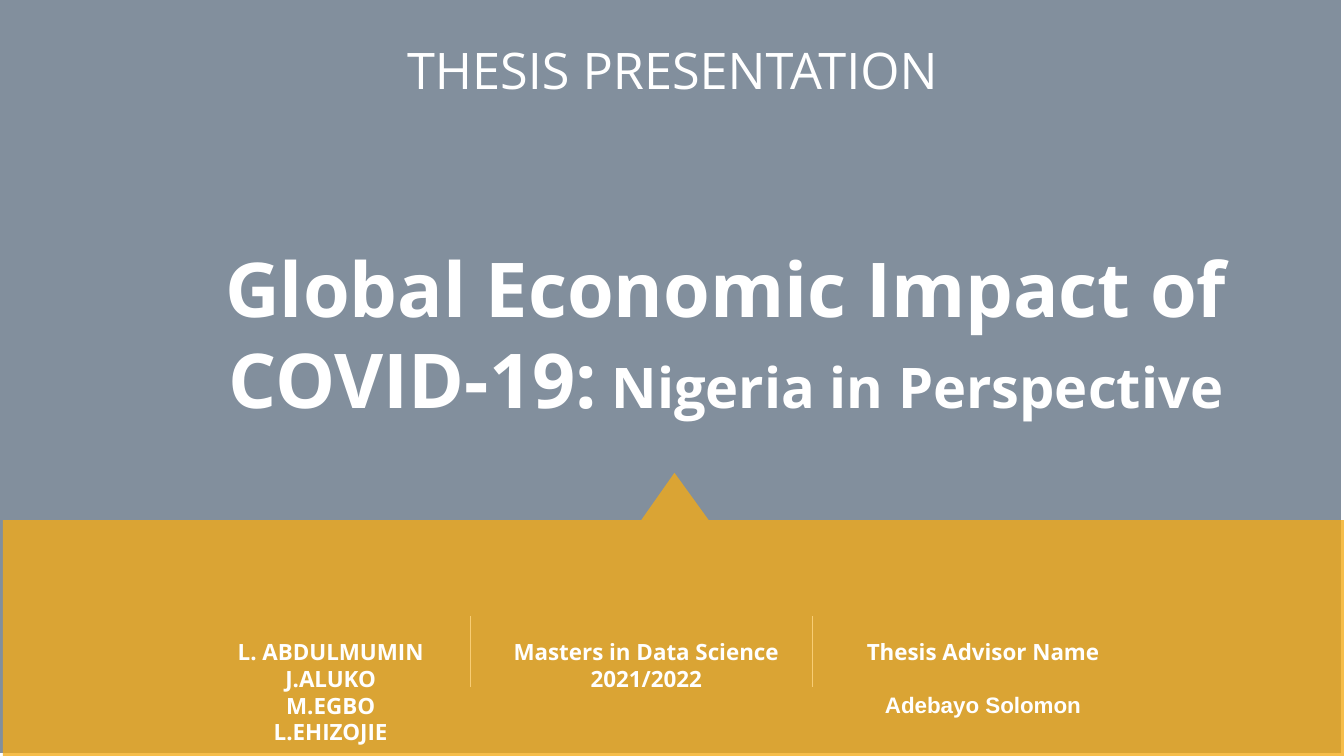
from pptx import Presentation
from pptx import util as u
from pptx.dml.color import RGBColor
from pptx.enum import shapes, text
from pptx.oxml import ns
from lxml import etree

COLORS = {"slate": "57687B", "amber": "F4AB17", "divider": "F8CD74", "white": "FFFFFF"}
FONT = "Open Sans"


class Cover:
    def __init__(self, deck):
        self.page = deck.slides.add_slide(deck.slide_layouts[5])

    def color(self, name):
        return RGBColor.from_string(COLORS[name])

    def fill(self, shape, name, opacity):
        shape.shadow.inherit = False
        shape.fill.solid()
        shape.fill.fore_color.rgb = self.color(name)
        shape.line.fill.background()
        tint = shape.element.spPr.find(ns.qn("a:solidFill"))[0]
        etree.SubElement(tint, ns.qn("a:alpha"), val=str(opacity * 1000))

    def panel(self, place, name, opacity):
        shape = self.page.shapes.add_shape(
            shapes.MSO_SHAPE.RECTANGLE, *map(u.Inches, place))
        self.fill(shape, name, opacity)

    def outline(self, points, name, opacity):
        corners = [(u.Inches(x), u.Inches(y)) for x, y in points]
        builder = self.page.shapes.build_freeform(*corners[0])
        builder.add_line_segments(corners[1:], close=True)
        self.fill(builder.convert_to_shape(), name, opacity)

    def set_lines(self, frame, lines):
        for number, (spans, gap) in enumerate(lines):
            para = frame.paragraphs[0] if number == 0 else frame.add_paragraph()
            para.alignment = text.PP_ALIGN.CENTER
            if gap:
                para.space_before = u.Pt(gap)
            for words, style in spans:
                span = para.add_run()
                span.text = words
                span.font.color.rgb = self.color("white")
                for key, value in {"name": FONT, "bold": True, **style}.items():
                    setattr(span.font, key, value)

    def title(self, place, words, size):
        title = self.page.shapes.title
        title.element.getparent().append(title.element)
        for key, value in zip(("left", "top", "width", "height"), place):
            setattr(title, key, u.Inches(value))
        layout = {
            "margin_left": u.Inches(0.13), "margin_right": u.Inches(0.13),
            "margin_top": u.Inches(0.07), "margin_bottom": u.Inches(0.07),
            "vertical_anchor": text.MSO_ANCHOR.MIDDLE,
            "auto_size": text.MSO_AUTO_SIZE.NONE,
        }
        for key, value in layout.items():
            setattr(title.text_frame, key, value)
        self.set_lines(title.text_frame, [([(words, {"size": u.Pt(size), "bold": False})], 0)])

    def label(self, place, lines):
        box = self.page.shapes.add_textbox(*map(u.Inches, place))
        box.text_frame.word_wrap = True
        box.text_frame.auto_size = text.MSO_AUTO_SIZE.SHAPE_TO_FIT_TEXT
        self.set_lines(box.text_frame, lines)

    def divider(self, x, top, bottom):
        line = self.page.shapes.add_connector(
            shapes.MSO_CONNECTOR.STRAIGHT, *map(u.Inches, (x, top, x, bottom)))
        line.line.color.rgb = self.color("divider")
        line.line.width = u.Pt(0.75)
        etree.SubElement(line.element.spPr, ns.qn("a:effectLst"))


def main():
    deck = Presentation()
    deck.slide_width, deck.slide_height = u.Inches(13.33), u.Inches(7.5)
    cover = Cover(deck)

    cover.panel((-0.03, -0.03, 13.33, 7.5), "slate", 74)
    cover.outline([(6.69, 4.69), (7.03, 5.16), (13.36, 5.16), (13.36, 7.58),
                   (0.03, 7.58), (0.03, 5.16), (6.36, 5.16)], "amber", 78)
    cover.label((1.74, 2.35, 10.92, 1.92), [([
        ("Global Economic Impact of COVID-19:", {"size": u.Pt(54)}),
        (" Nigeria in Perspective", {"size": u.Pt(40)})], 0)])
    cover.title((0.67, 0.3, 12, 0.78), "THESIS PRESENTATION", 36)

    columns = [
        (2.2, 2.16, 1.18, [("L. ABDULMUMIN", FONT, 0), ("J.ALUKO", FONT, 0),
                           ("M.EGBO", FONT, 0), ("L.EHIZOJIE", FONT, 0)]),
        (4.98, 2.86, 0.64, [("Masters in Data Science", FONT, 0), ("2021/2022", FONT, 0)]),
        (8.37, 2.76, 1.18, [("Thesis Advisor Name", FONT, 0),
                            ("Adebayo Solomon", "Arial", 19)]),
    ]
    for left, width, height, entries in columns:
        cover.label((left, 6.28, width, height), [
            ([(words, {"size": u.Pt(16), "name": font})], gap)
            for words, font, gap in entries])
    for x in (4.67, 8.06):
        cover.divider(x, 6.11, 6.82)

    deck.save("out.pptx")


if __name__ == "__main__":
    main()
